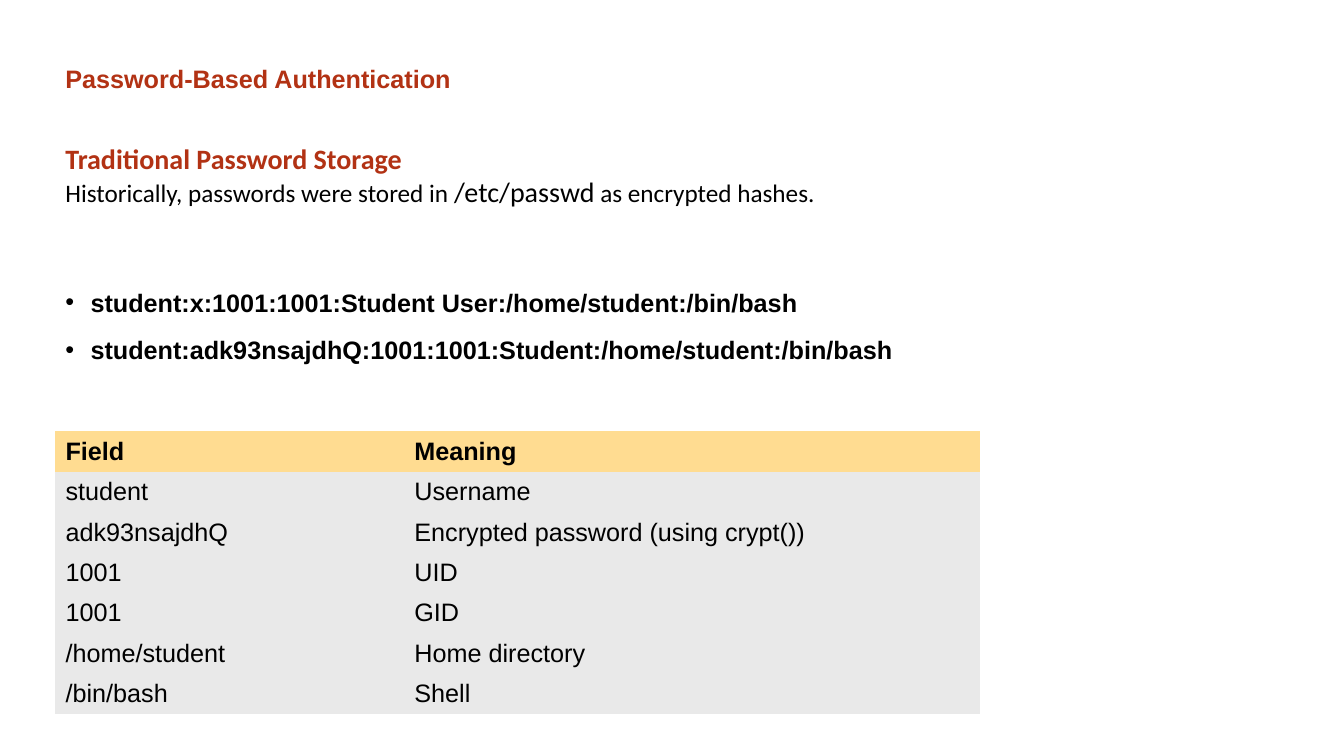
from dataclasses import dataclass

import pptx
import pptx.dml.color
import pptx.enum.text
import pptx.oxml.ns
import pptx.slide
import pptx.text.text
import pptx.util
from lxml import etree

Inches = pptx.util.Inches
Pt = pptx.util.Pt

BLACK = "000000"
RED = "B23214"
HEADER_FILL = "FFDC91"
BODY_FILL = "E9E9E9"
NO_STYLE_NO_GRID = "{2D5ABB26-0587-4C30-8999-92F81FD0307C}"


@dataclass
class Span:
    text: str
    size: float = 18
    font: str = "Arial"
    color: str = BLACK
    bold: bool = False


@dataclass
class Line:
    spans: list[Span]
    space_before: float = 0
    line_spacing: float = 1.0
    bullet: bool = False


LINES = [
    Line([Span("Password-Based Authentication", color=RED, bold=True)], line_spacing=1.1),
    Line([Span("Traditional Password Storage", 20, "Calibri", RED, True)], space_before=34),
    Line([
        Span("Historically, passwords were stored in ", font="Calibri"),
        Span("/etc/passwd", 20, "Calibri"),
        Span(" as encrypted hashes.", font="Calibri"),
    ]),
    Line([Span("student:x:1001:1001:Student User:/home/student:/bin/bash", bold=True)],
         space_before=54, line_spacing=1.1, bullet=True),
    Line([Span("student:adk93nsajdhQ:1001:1001:Student:/home/student:/bin/bash", bold=True)],
         space_before=10, line_spacing=1.1, bullet=True),
]

FIELDS = [
    ("Field", "Meaning"),
    ("student", "Username"),
    ("adk93nsajdhQ", "Encrypted password (using crypt())"),
    ("1001", "UID"),
    ("1001", "GID"),
    ("/home/student", "Home directory"),
    ("/bin/bash", "Shell"),
]
COLUMN_WIDTHS = [3.46, 5.71]
ROW_HEIGHT = 0.38


def rgb(value: str) -> pptx.dml.color.RGBColor:
    return pptx.dml.color.RGBColor.from_string(value)


def add_bullet(para: pptx.text.text._Paragraph) -> None:
    properties = para._p.get_or_add_pPr()
    properties.set("marL", str(Inches(0.25)))
    properties.set("indent", str(Inches(-0.25)))
    font = etree.SubElement(properties, pptx.oxml.ns.qn("a:buFont"))
    font.set("typeface", "Arial")
    mark = etree.SubElement(properties, pptx.oxml.ns.qn("a:buChar"))
    mark.set("char", "•")


def add_span(para: pptx.text.text._Paragraph, span: Span) -> None:
    run = para.add_run()
    run.text = span.text
    run.font.size = Pt(span.size)
    run.font.name = span.font
    run.font.bold = span.bold
    run.font.color.rgb = rgb(span.color)


def add_body(page: pptx.slide.Slide) -> None:
    box = page.shapes.add_textbox(Inches(0.55), Inches(0.55), Inches(11.6), Inches(3.3))
    frame = box.text_frame
    frame.word_wrap = True
    for index, line in enumerate(LINES):
        para = frame.add_paragraph() if index else frame.paragraphs[0]
        para.line_spacing = line.line_spacing
        para.space_before = Pt(line.space_before)
        if line.bullet:
            add_bullet(para)
        for span in line.spans:
            add_span(para, span)


def add_field_table(page: pptx.slide.Slide) -> None:
    frame = page.shapes.add_table(
        len(FIELDS), len(COLUMN_WIDTHS), Inches(0.55), Inches(4.28),
        Inches(sum(COLUMN_WIDTHS)), Inches(ROW_HEIGHT * len(FIELDS)))
    table = frame.table
    table.horz_banding = False
    table._tbl.tblPr.find(pptx.oxml.ns.qn("a:tableStyleId")).text = NO_STYLE_NO_GRID
    for column, width in zip(table.columns, COLUMN_WIDTHS):
        column.width = Inches(width)
    for row_index, texts in enumerate(FIELDS):
        is_header = row_index == 0
        table.rows[row_index].height = Inches(ROW_HEIGHT)
        for cell, text in zip(table.rows[row_index].cells, texts):
            cell.vertical_anchor = pptx.enum.text.MSO_ANCHOR.MIDDLE
            cell.fill.solid()
            cell.fill.fore_color.rgb = rgb(HEADER_FILL if is_header else BODY_FILL)
            add_span(cell.text_frame.paragraphs[0], Span(text, bold=is_header))


def main() -> None:
    deck = pptx.Presentation()
    deck.slide_width = Inches(13.33)
    deck.slide_height = Inches(7.5)
    page = deck.slides.add_slide(deck.slide_layouts[6])
    page.background.fill.solid()
    page.background.fill.fore_color.rgb = rgb("FFFFFF")
    add_body(page)
    add_field_table(page)
    deck.save("out.pptx")


if __name__ == "__main__":
    main()
